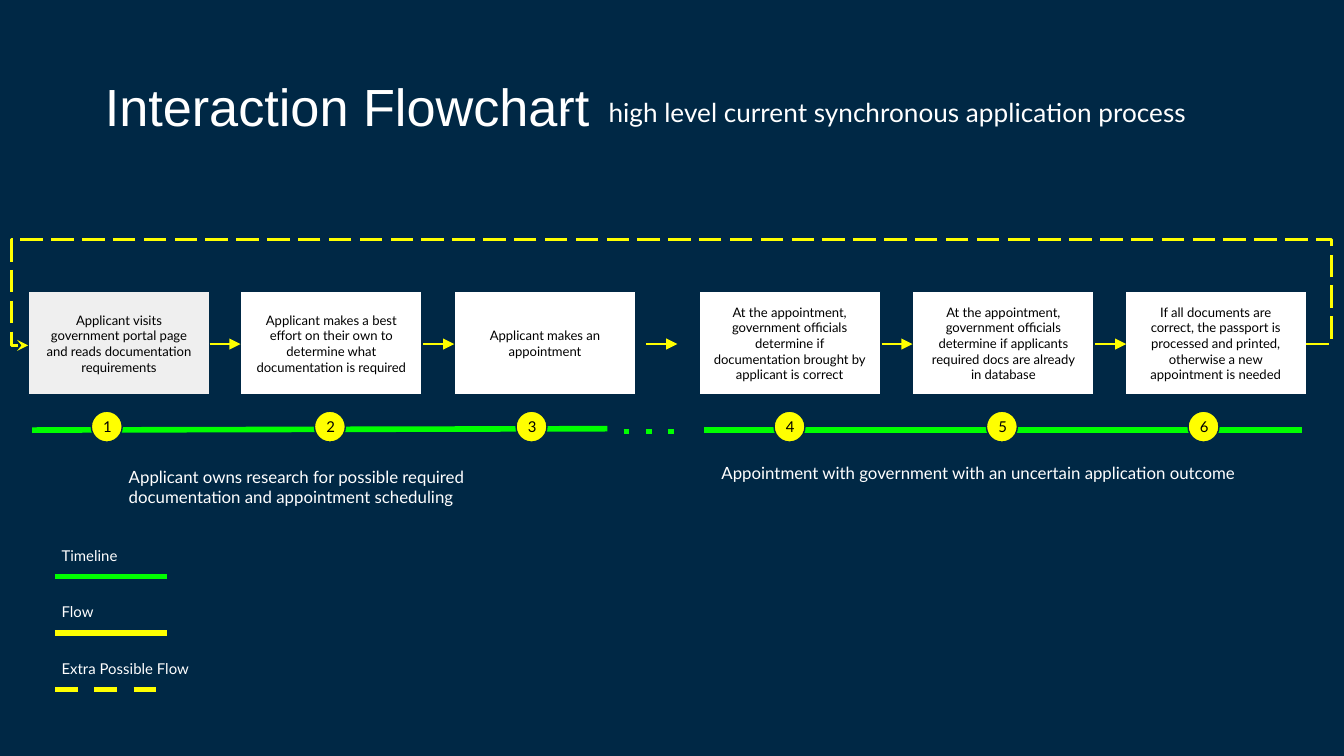
from pptx import Presentation
from pptx.dml.color import RGBColor
from pptx.enum.shapes import MSO_CONNECTOR, MSO_SHAPE
from pptx.enum.text import MSO_ANCHOR, MSO_AUTO_SIZE, PP_ALIGN
from pptx.oxml.ns import qn
from pptx.util import Inches, Pt
from lxml.etree import SubElement

NAVY = RGBColor(0x00, 0x28, 0x45)
WHITE = RGBColor(0xFF, 0xFF, 0xFF)
BLACK = RGBColor(0x00, 0x00, 0x00)
LIGHT_GRAY = RGBColor(0xEF, 0xEF, 0xEF)
GREEN = RGBColor(0x00, 0xFF, 0x00)
YELLOW = RGBColor(0xFF, 0xFF, 0x00)


def write_text(shape, text, size, color, font="Lato", align=PP_ALIGN.LEFT,
               anchor=MSO_ANCHOR.TOP, auto_size=MSO_AUTO_SIZE.SHAPE_TO_FIT_TEXT):
    frame = shape.text_frame
    frame.text = text
    frame.word_wrap = True
    frame.auto_size = auto_size
    frame.vertical_anchor = anchor
    frame.margin_left = frame.margin_right = Inches(0.1)
    frame.margin_top = frame.margin_bottom = Inches(0.1)
    paragraph = frame.paragraphs[0]
    paragraph.alignment = align
    run_font = paragraph.runs[0].font
    run_font.name = font
    run_font.size = Pt(size)
    run_font.color.rgb = color


def add_line(start, end, color, width, dash="solid", arrowhead="none", kind=MSO_CONNECTOR.STRAIGHT):
    points = [Inches(value) for value in (*start, *end)]
    connector = slide.shapes.add_connector(kind, *points)
    connector.line.color.rgb = color
    connector.line.width = Pt(width)
    properties = connector._element.spPr
    outline = properties.find(qn("a:ln"))
    SubElement(outline, qn("a:prstDash"), val=dash)
    SubElement(outline, qn("a:tailEnd"), type=arrowhead)
    SubElement(properties, qn("a:effectLst"))
    return connector


presentation = Presentation()
presentation.slide_width = Inches(10)
presentation.slide_height = Inches(10 * 9 / 16)
slide = presentation.slides.add_slide(presentation.slide_layouts[5])
slide.background.fill.solid()
slide.background.fill.fore_color.rgb = NAVY

# Title and subtitle
title = slide.shapes.title
title.left, title.top = Inches(0.68), Inches(0.45)
title.width, title.height = Inches(5.17), Inches(0.63)
write_text(title, "Interaction Flowchart", 28, WHITE, font="Arial", auto_size=MSO_AUTO_SIZE.NONE)

subtitle = slide.shapes.add_textbox(Inches(3.93), Inches(0.62), Inches(5.17), Inches(0.29))
write_text(subtitle, "high level current synchronous application process", 14, WHITE)
bullet_properties = subtitle.text_frame.paragraphs[0]._p.get_or_add_pPr()
bullet_properties.set("marL", str(Inches(0.5)))
bullet_properties.set("indent", str(Inches(-0.35)))
bullet_color = SubElement(bullet_properties, qn("a:buClr"))
SubElement(bullet_color, qn("a:srgbClr"), val=str(WHITE))
SubElement(bullet_properties, qn("a:buChar"), char="-")

# Process steps: box left, marker left, wording
STEP_WIDTH = 1.35
FLOW_Y = 2.56
steps = [
    (0.21, 0.68, "Applicant visits government portal page and reads documentation requirements"),
    (1.79, 2.34, "Applicant makes a best effort on their own to determine what documentation is required"),
    (3.38, 3.84, "Applicant makes an appointment"),
    (5.20, 5.76, "At the appointment, government officials determine if documentation brought by "
                 "applicant is correct"),
    (6.79, 7.34, "At the appointment, government officials determine if applicants required docs "
                 "are already in database"),
    (8.37, 8.84, "If all documents are correct, the passport is processed and printed, otherwise "
                 "a new appointment is needed"),
]

# Timeline
add_line((0.24, 3.2), (4.52, 3.19), GREEN, 3)
add_line((4.64, 3.21), (5.09, 3.21), GREEN, 3, dash="dot")
add_line((5.24, 3.2), (9.69, 3.2), GREEN, 3)

for number, (box_left, marker_left, text) in enumerate(steps, start=1):
    box = slide.shapes.add_shape(
        MSO_SHAPE.RECTANGLE, Inches(box_left), Inches(2.17), Inches(STEP_WIDTH), Inches(0.77))
    marker = slide.shapes.add_shape(
        MSO_SHAPE.OVAL, Inches(marker_left), Inches(3.06), Inches(0.23), Inches(0.23))
    box_fill = LIGHT_GRAY if number == 1 else WHITE
    for shape, fill in ((box, box_fill), (marker, YELLOW)):
        shape.shadow.inherit = False
        shape.fill.solid()
        shape.fill.fore_color.rgb = fill
        shape.line.color.rgb = NAVY
        shape.line.width = Pt(0.75)
    write_text(box, text, 7, BLACK, align=PP_ALIGN.CENTER, anchor=MSO_ANCHOR.MIDDLE,
               auto_size=MSO_AUTO_SIZE.NONE)

    label = slide.shapes.add_textbox(
        Inches(marker_left - 0.01), Inches(3.04), Inches(0.27), Inches(0.23))
    write_text(label, str(number), 8, BLACK)

# Flow arrows
for arrow_left in (1.56, 3.15, 4.81, 6.56, 8.15):
    add_line((arrow_left, FLOW_Y), (arrow_left + 0.23, FLOW_Y), YELLOW, 1.5, arrowhead="triangle")

# Return flow from the last step to the first, routed above the boxes
return_flow = add_line((9.72, FLOW_Y), (0.21, FLOW_Y + 0.01), YELLOW, 1.5,
                       dash="lgDash", arrowhead="stealth", kind=MSO_CONNECTOR.ELBOW)
geometry = return_flow._element.spPr.find(qn("a:prstGeom"))
geometry.set("prst", "bentConnector5")
adjustments = geometry.find(qn("a:avLst"))
for name, value in (("adj1", -2000), ("adj2", -7900000), ("adj3", 101300)):
    SubElement(adjustments, qn("a:gd"), name=name, fmla=f"val {value}")

# Phase captions
captions = [
    (0.86, 3.5, "Applicant owns research for possible required documentation and appointment scheduling"),
    (5.27, 4.23, "Appointment with government with an uncertain application outcome"),
]
for left, width, text in captions:
    caption = slide.shapes.add_textbox(Inches(left), Inches(3.37), Inches(width), Inches(0.29))
    write_text(caption, text, 9, WHITE)

# Legend
legend = [
    ("Timeline", 1, GREEN, "solid"),
    ("Flow", 1, YELLOW, "solid"),
    ("Extra Possible Flow", 1.43, YELLOW, "dash"),
]
for row, (text, width, color, dash) in enumerate(legend):
    top = 4 + 0.42 * row
    add_line((0.41, top + 0.29), (1.24, top + 0.29), color, 3, dash=dash)
    entry = slide.shapes.add_textbox(Inches(0.36), Inches(top), Inches(width), Inches(0.21))
    write_text(entry, text, 8, WHITE)

presentation.save("out.pptx")
